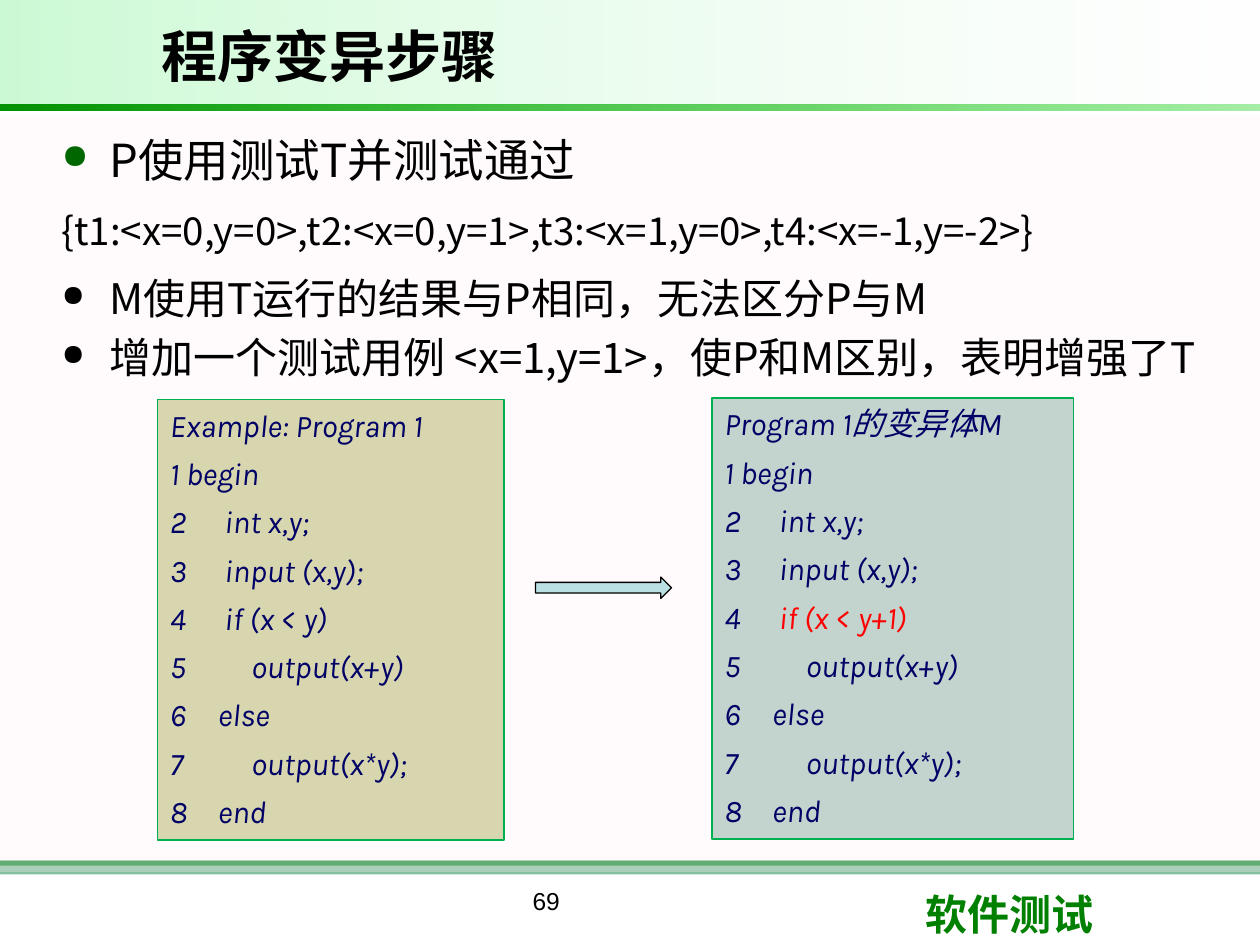
from lxml import etree
from pptx import Presentation
from pptx import util as u
from pptx.dml.color import RGBColor
from pptx.enum import shapes, text
from pptx.oxml.ns import qn

CJK = "Noto Sans CJK SC"
In, Pt = u.Inches, u.Pt


def rgb(hex_color):
    return RGBColor.from_string(hex_color)


def add_color(parent, hex_color, opacity=100):
    clr = etree.SubElement(parent, qn("a:srgbClr"), val=hex_color)
    if opacity < 100:
        etree.SubElement(clr, qn("a:alpha"), val=str(opacity * 1000))


class Deck:
    def __init__(self):
        self.prs = Presentation()
        self.prs.slide_width, self.prs.slide_height = In(10), In(7.5)
        self.s = self.prs.slides.add_slide(self.prs.slide_layouts[5])

    def shape(self, box, fill, line=None, width=1.0, kind=shapes.MSO_SHAPE.RECTANGLE):
        sp = self.s.shapes.add_shape(kind, *map(In, box))
        sp.shadow.inherit = False
        sp.fill.solid()
        sp.fill.fore_color.rgb = rgb(fill)
        if line:
            sp.line.color.rgb = rgb(line)
            sp.line.width = Pt(width)
        else:
            sp.line.fill.background()
        return sp

    def band(self, box, *stops):
        """Add a strip; several (colour, opacity) stops make a left-to-right gradient."""
        sp = self.shape(box, stops[0][0])
        solid = sp.element.spPr.find(qn("a:solidFill"))
        if len(stops) == 1:
            solid.clear()
            add_color(solid, *stops[0])
            return
        grad = etree.Element(qn("a:gradFill"), rotWithShape="1")
        gs_list = etree.SubElement(grad, qn("a:gsLst"))
        for i, stop in enumerate(stops):
            pos = i * 100000 // (len(stops) - 1)
            add_color(etree.SubElement(gs_list, qn("a:gs"), pos=str(pos)), *stop)
        etree.SubElement(grad, qn("a:lin"), ang="0", scaled="0")
        solid.getparent().replace(solid, grad)

    def textbox(self, box):
        tf = self.s.shapes.add_textbox(*map(In, box)).text_frame
        tf.word_wrap = True
        return tf

    def title(self, words, box):
        sp = self.s.shapes.title
        sp.left, sp.top, sp.width, sp.height = map(In, box)
        sp.element.getparent().append(sp.element)  # in front of the bands
        tf = sp.text_frame
        tf.vertical_anchor = text.MSO_ANCHOR.MIDDLE
        p = tf.paragraphs[0]
        p.text = words
        p.alignment = text.PP_ALIGN.LEFT
        self.style(p, 32, "Arial", "000000", bold=True)

    def label(self, words, box, size, font, color, **look):
        p = self.textbox(box).paragraphs[0]
        p.text = words
        p.alignment = look.pop("align", text.PP_ALIGN.LEFT)
        self.style(p, size, font, color, **look)

    def style(self, p, size, font, color, bold=False, italic=False):
        for r in p.runs:
            r.font.size, r.font.name = Pt(size), font
            r.font.bold, r.font.italic = bold, italic
            r.font.color.rgb = rgb(color)
            latin = r.font._element.find(qn("a:latin"))
            latin.addnext(etree.Element(qn("a:ea"), typeface=CJK))

    def indent(self, p, left=0.38, hang=0.38):
        pPr = p._p.get_or_add_pPr()
        pPr.set("marL", str(In(left)))
        pPr.set("indent", str(-In(hang)))
        return pPr

    def bullet(self, p, color, percent):
        pPr = p._p.get_or_add_pPr()
        add_color(etree.SubElement(pPr, qn("a:buClr")), color)
        etree.SubElement(pPr, qn("a:buSzPct"), val=str(percent * 1000))
        etree.SubElement(pPr, qn("a:buChar"), char="●")

    def points(self, box, rows):
        tf = self.textbox(box)
        for i, (words, size, bullet, before, after, spacing) in enumerate(rows):
            p = tf.add_paragraph() if i else tf.paragraphs[0]
            p.text = words
            self.indent(p)
            if bullet:
                self.bullet(p, *bullet)
            p.space_before = Pt(before if i else 0)
            p.space_after = Pt(after)
            p.line_spacing = spacing
            self.style(p, size, CJK, "000000")

    def listing(self, box, fill, heading, condition, condition_color):
        """Add a code panel whose lines are numbered from 2 after "1 begin"."""
        tf = self.shape(box, fill, "00B050").text_frame
        tf.word_wrap = True
        tf.vertical_anchor = text.MSO_ANCHOR.TOP
        lines = [heading, "1 begin", " int x,y;", " input (x,y);", " " + condition,
                 "     output(x+y)", "else", "     output(x*y);", "end"]
        for i, line in enumerate(lines):
            p = tf.add_paragraph() if i else tf.paragraphs[0]
            p.text = line
            p.alignment = text.PP_ALIGN.LEFT
            pPr = self.indent(p)
            if i > 1:
                etree.SubElement(pPr, qn("a:buAutoNum"), type="arabicPlain", startAt="2")
            p.space_before = Pt(6 if i else 0)
            if condition in line:
                p.text = " "
                p.add_run().text = condition
            self.style(p, 18, "Karla", "000066", italic=True)
            if condition in line:
                p.runs[1].font.color.rgb = rgb(condition_color)


def main():
    d = Deck()
    d.band((0, 6.83, 10, 0.04), ("008000", 100))
    d.band((0, 6.83, 10, 0.11), ("339966", 60))
    d.band((0, 0.92, 10, 6), ("FFF0F5", 30))
    d.label("软件测试", (7.25, 7, 2.37, 0.5), 24, "Calibri", "008000", bold=True)
    d.band((0, 0, 10, 0.83), ("09E733", 21), ("FFFFFF", 10))
    d.band((0, 0.83, 10, 0.05), ("009200", 100), ("00CC00", 35))
    d.title("程序变异步骤", (1.18, 0.08, 6.97, 0.71))

    black = ("000000", 70)
    d.points((0.39, 1.08, 9.61, 5.58), [
        ("P使用测试T并测试通过", 26, ("006600", 75), 6, 6, 0.8),
        ("{t1:<x=0,y=0>,t2:<x=0,y=1>,t3:<x=1,y=0>,t4:<x=-1,y=-2>}", 22, None, 6, 6, 1.0),
        ("M使用T运行的结果与P相同，无法区分P与M", 24, black, 5, 0, 1.0),
        ("增加一个测试用例 <x=1,y=1>，使P和M区别，表明增强了T", 24, black, 5, 0, 1.0),
    ])
    d.label("69", (2.75, 6.98, 3.17, 0.52), 14, "Arial", "000000",
            align=text.PP_ALIGN.CENTER)

    d.listing((1.25, 3.17, 2.75, 3.5), "D7D6AE", "Example: Program 1",
              "if (x < y)", "000066")
    d.listing((5.65, 3.16, 2.87, 3.5), "C2D4CD", "Program 1的变异体M",
              "if (x < y+1)", "FF0000")
    d.shape((4.25, 4.58, 1.08, 0.17), "BBE0E3", "000000", 0.75,
            shapes.MSO_SHAPE.RIGHT_ARROW)
    d.prs.save("out.pptx")


if __name__ == "__main__":
    main()
